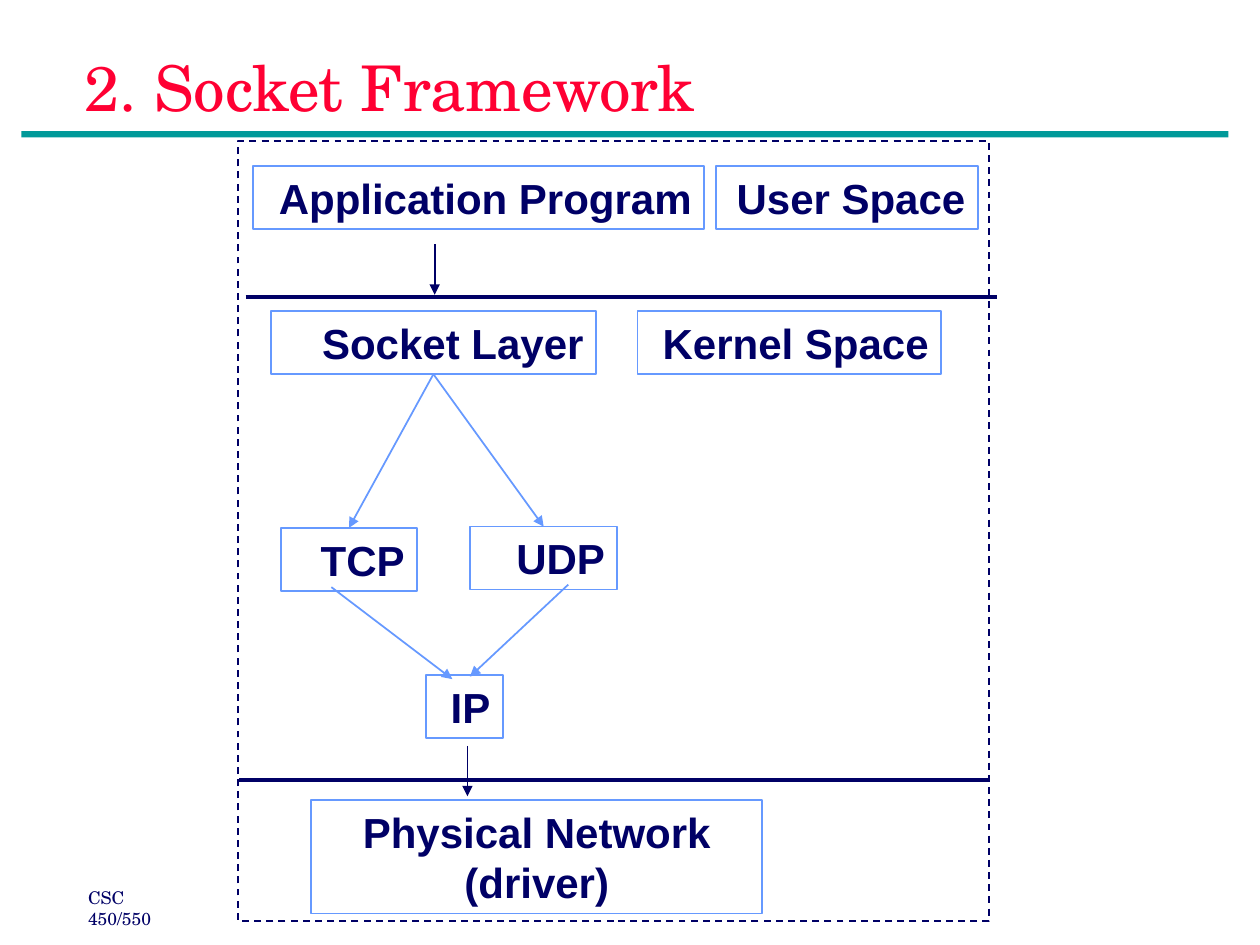
from dataclasses import dataclass

from lxml import etree
from pptx import Presentation
from pptx.dml.color import RGBColor
from pptx.enum import dml, shapes, text
from pptx.oxml import ns
from pptx.util import Inches, Pt


@dataclass(frozen=True)
class Theme:
    navy: RGBColor = RGBColor(0x00, 0x00, 0x66)
    blue: RGBColor = RGBColor(0x66, 0x99, 0xFF)
    teal: RGBColor = RGBColor(0x00, 0x99, 0x99)
    red: RGBColor = RGBColor(0xFF, 0x00, 0x33)
    serif: str = "TeX Gyre Schola"
    sans: str = "Arial"
    title: int = 36
    label: int = 24
    footer: int = 10
    thin: float = 1
    thick: float = 2.25


THEME = Theme()
BOX_HEIGHT = 0.5


def add_rect(s, x, y, w, h, line=None, fill=None):
    sp = s.shapes.add_shape(shapes.MSO_SHAPE.RECTANGLE,
                            Inches(x), Inches(y), Inches(w), Inches(h))
    sp.shadow.inherit = False
    if fill is None:
        sp.fill.background()
    else:
        sp.fill.solid()
        sp.fill.fore_color.rgb = fill
    if line is None:
        sp.line.fill.background()
    else:
        sp.line.color.rgb = line
        sp.line.width = Pt(THEME.thin)
    return sp


def write(sp, words, font, size, color, align=text.PP_ALIGN.LEFT,
          anchor=text.MSO_ANCHOR.TOP, wrap=True, bold=False):
    tf = sp.text_frame
    tf.word_wrap = wrap
    tf.vertical_anchor = anchor
    p = tf.paragraphs[0]
    p.alignment = align
    r = p.add_run()
    r.text = words
    r.font.name = font
    r.font.size = Pt(size)
    r.font.bold = bold
    r.font.color.rgb = color


def add_line(s, start, end, color, width=THEME.thin, arrow=False):
    c = s.shapes.add_connector(shapes.MSO_CONNECTOR.STRAIGHT,
                               *map(Inches, (*start, *end)))
    c.line.color.rgb = color
    c.line.width = Pt(width)
    if arrow:
        etree.SubElement(c.line._get_or_add_ln(), ns.qn("a:tailEnd"), type="triangle")
    etree.SubElement(c._element.spPr, ns.qn("a:effectLst"))
    return c


def add_header(s, x, y, w, h):
    """Title with a teal rule that reaches past it on both sides."""
    add_rect(s, x - 0.4, y + 1.04, w + 0.62, 0.05, fill=THEME.teal)
    title = s.shapes.add_textbox(Inches(x), Inches(y), Inches(w), Inches(h))
    write(title, "2. Socket Framework", THEME.serif, THEME.title, THEME.red,
          anchor=text.MSO_ANCHOR.MIDDLE)


def add_footer(s, x, y, w, h):
    sp = s.shapes.add_textbox(Inches(x), Inches(y), Inches(w), Inches(h))
    write(sp, "CSC 450/550", THEME.serif, THEME.footer, THEME.navy, wrap=False)


def add_stack(s, x, y, w, h):
    """Dashed frame holding the protocol layers and the arrows between them."""
    def at(dx, dy):
        return x + dx, y + dy

    def layer(words, dx, dy, width, height=BOX_HEIGHT, align=text.PP_ALIGN.RIGHT):
        sp = add_rect(s, *at(dx, dy), width, height, line=THEME.blue)
        write(sp, words, THEME.sans, THEME.label, THEME.navy, align, bold=True)
        return sp

    user_y, kernel_y = 0.2, 1.35
    layer("Application Program", 0.12, user_y, 3.58)
    layer("User Space", 3.79, user_y, 2.08)
    socket = layer("Socket Layer", 0.26, kernel_y, 2.58)
    layer("Kernel Space", 3.17, kernel_y, 2.41)
    tcp = layer("TCP", 0.34, 3.07, 1.08)
    udp = layer("UDP", 1.84, 3.06, 1.17)
    layer("IP", 1.49, 4.24, 0.61)
    layer("Physical Network (driver)", 0.58, 5.23, 3.58, 0.9, text.PP_ALIGN.CENTER)

    for protocol in (tcp, udp):
        c = add_line(s, at(1.55, 1.85), at(1.55, 3.07), THEME.blue, arrow=True)
        c.begin_connect(socket, 2)
        c.end_connect(protocol, 0)
    for start, end in (((0.74, 3.54), (1.7, 4.27)), ((2.62, 3.52), (1.84, 4.25))):
        add_line(s, at(*start), at(*end), THEME.blue, arrow=True)

    for dx, dy in ((0.06, 1.24), (0.01, 5.07)):
        add_line(s, at(dx, dy), at(dx + w, dy), THEME.navy, THEME.thick)
    for dx, dy in ((1.56, 0.82), (1.82, 4.8)):
        add_line(s, at(dx, dy), at(dx, dy + 0.4), THEME.navy, arrow=True)

    frame = add_rect(s, x, y, w, h, line=THEME.navy)
    frame.line.dash_style = dml.MSO_LINE.DASH


def main():
    prs = Presentation()
    prs.slide_width, prs.slide_height = Inches(10), Inches(7.5)
    s = prs.slides.add_slide(prs.slide_layouts[6])
    add_header(s, 0.57, 0, 8.96, 1.37)
    add_footer(s, 0.6, 6.99, 1.02, 0.27)
    add_stack(s, 1.89, 1.12, 5.96, 6.19)
    prs.save("out.pptx")


if __name__ == "__main__":
    main()
